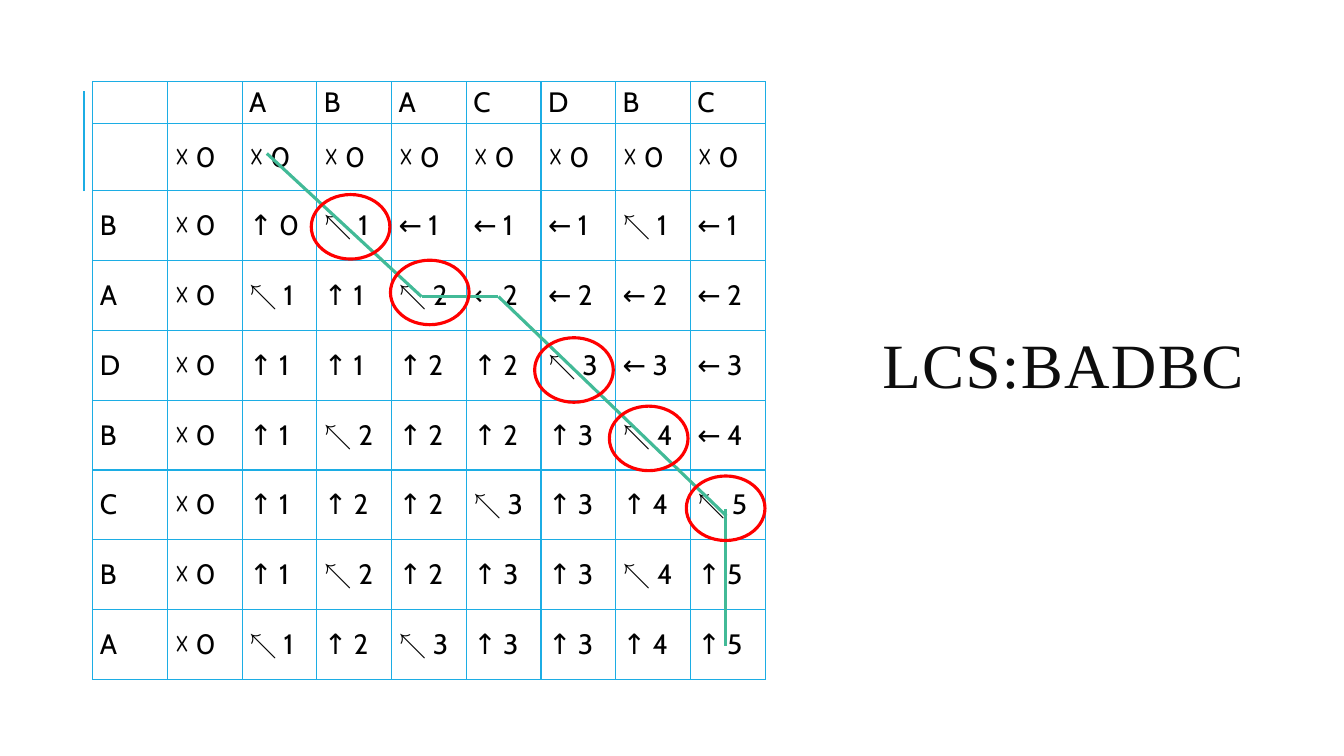
from lxml.etree import SubElement
from pptx import Presentation
from pptx.dml.color import RGBColor
from pptx.enum.shapes import MSO_CONNECTOR, MSO_SHAPE
from pptx.enum.text import MSO_ANCHOR
from pptx.oxml.ns import qn
from pptx.util import Inches, Pt

COLUMN_WORD = "ABACDBC"
ROW_WORD = "BADBCBA"
LEFT, TOP, WIDTH, HEIGHT = 0.92, 0.81, 6.67, 5.93
HEAD_ROWS = [0.41, 0.67]
COL = WIDTH / (len(COLUMN_WORD) + 2)
ROW = (HEIGHT - sum(HEAD_ROWS)) / len(ROW_WORD)
BODY_TOP = TOP + sum(HEAD_ROWS)

TRACE = [
    ((8.47, 6.52), (8.47, 4.56)),
    ((8.48, 4.66), (5.43, 1.52)),
    ((4.4, 1.52), (5.43, 1.52)),
    ((4.4, 1.52), (2.33, -0.53)),
]
MATCHES = [(8.47, 4.55), (7.44, 3.55), (6.44, 2.57), (4.51, 1.46), (3.45, 0.52)]


def color(hex_text):
    return RGBColor.from_string(hex_text)


def write(p, text, size=20, font="Cabin", fill="000000", spacing=None):
    r = p.add_run()
    r.text = text
    r.font.size = Pt(size)
    r.font.name = font
    r.font.color.rgb = color(fill)
    if spacing is not None:
        r.font._element.set("spc", str(spacing))


def lcs_rows(across, down):
    previous = [0] * (len(across) + 1)
    rows = [["", "", *across], ["", *["☓ 0"] * len(previous)]]
    for letter in down:
        current, cells = [0], [letter, "☓ 0"]
        for j, other in enumerate(across):
            if letter == other:
                arrow, value = "↖", previous[j] + 1
            elif previous[j + 1] >= current[j]:
                arrow, value = "↑", previous[j + 1]
            else:
                arrow, value = "←", current[j]
            current.append(value)
            cells.append(f"{arrow} {value}")
        rows.append(cells)
        previous = current
    return rows


class Board:
    grid_color = "1CADE4"
    trace_color = "42BA97"
    match_color = "FF0000"

    def __init__(self, prs):
        self.s = prs.slides.add_slide(prs.slide_layouts[6])

    def point(self, col, row):
        return Inches(LEFT + col * COL), Inches(BODY_TOP + row * ROW)

    def line(self, start, end, stroke, width):
        sp = self.s.shapes.add_connector(
            MSO_CONNECTOR.STRAIGHT, *self.point(*start), *self.point(*end))
        sp.line.color.rgb = color(stroke)
        sp.line.width = Pt(width)
        SubElement(sp._element.spPr, qn("a:effectLst"))

    def ring(self, center):
        x, y = self.point(*center)
        w, h = Inches(0.78), Inches(0.64)
        sp = self.s.shapes.add_shape(MSO_SHAPE.OVAL, x - w // 2, y - h // 2, w, h)
        sp.shadow.inherit = False
        sp.fill.background()
        sp.line.color.rgb = color(self.match_color)
        sp.line.width = Pt(2.25)

    def title(self, text, left, top, width, height):
        sp = self.s.shapes.add_textbox(
            Inches(left), Inches(top), Inches(width), Inches(height))
        tf = sp.text_frame
        tf.word_wrap = True
        tf.vertical_anchor = MSO_ANCHOR.MIDDLE
        p = tf.paragraphs[0]
        p.line_spacing = 0.8
        write(p, " ", size=45, font="Lato", fill="0D0D0D", spacing=100)
        write(p, text, size=45, font="Times New Roman", fill="0D0D0D", spacing=100)

    def border(self, cell):
        tc_pr = cell._tc.get_or_add_tcPr()
        for side in ("a:lnL", "a:lnR", "a:lnT", "a:lnB"):
            ln = SubElement(tc_pr, qn(side), w=str(Pt(1)))
            fill = SubElement(ln, qn("a:solidFill"))
            SubElement(fill, qn("a:srgbClr"), val=self.grid_color)

    def table(self, rows):
        table = self.s.shapes.add_table(
            len(rows), len(rows[0]), Inches(LEFT), Inches(TOP),
            Inches(WIDTH), Inches(HEIGHT)).table
        table.first_row = table.horz_banding = False
        for column in table.columns:
            column.width = Inches(COL)
        heights = HEAD_ROWS + [ROW] * len(ROW_WORD)
        for i, (texts, height) in enumerate(zip(rows, heights)):
            table.rows[i].height = Inches(height)
            for j, text in enumerate(texts):
                cell = table.cell(i, j)
                cell.margin_left = cell.margin_right = Inches(0.07)
                cell.margin_top = cell.margin_bottom = Inches(0.04)
                cell.vertical_anchor = MSO_ANCHOR.MIDDLE
                self.border(cell)
                cell.fill.background()
                if text:
                    write(cell.text_frame.paragraphs[0], text)


def main():
    prs = Presentation()
    prs.slide_width, prs.slide_height = Inches(13.33), Inches(7.5)
    board = Board(prs)
    board.line((-0.12, 0.01), (-0.12, -1.43), Board.grid_color, 1.5)
    board.title("LCS:BADBC", 8.48, 3.23, 4.18, 0.88)
    board.table(lcs_rows(COLUMN_WORD, ROW_WORD))
    for start, end in TRACE:
        board.line(start, end, Board.trace_color, 2.25)
    for center in MATCHES:
        board.ring(center)
    prs.save("out.pptx")


if __name__ == "__main__":
    main()
